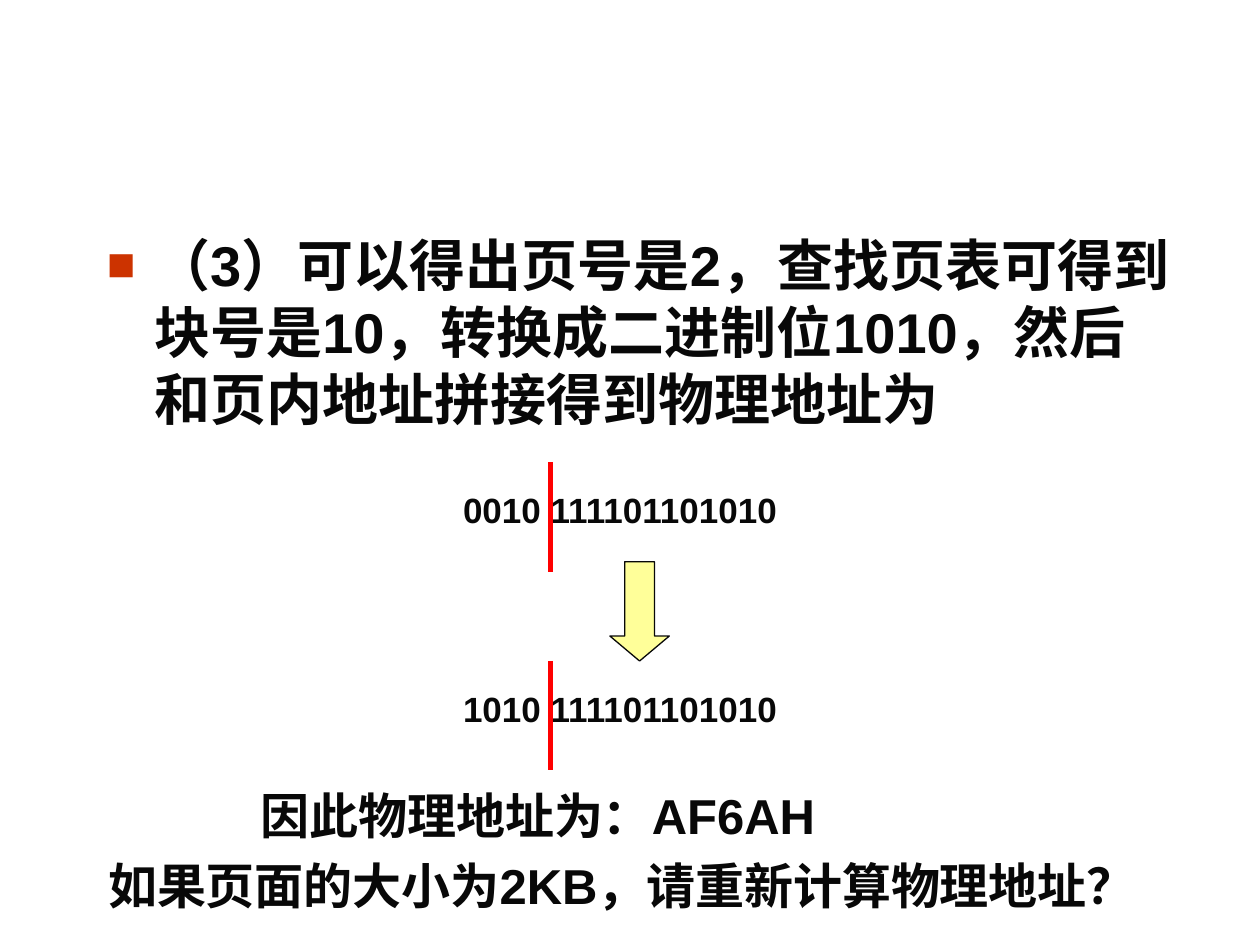
"""Build the slide that joins a block number and a page offset into a physical address."""
from lxml import etree
from pptx import Presentation
from pptx import util as u
from pptx.dml.color import RGBColor
from pptx.enum import shapes, text
from pptx.oxml import ns

COLORS = {"ink": "080808", "bullet": "CC3300", "arrow": "FFFF99", "divider": "FF0000"}
FONT = "Arial"

STEP = "（3）可以得出页号是2，查找页表可得到块号是10，转换成二进制位1010，然后和页内地址拼接得到物理地址为"
STEP_BOX = (54, 128, 623.5, 354)
HANGING = 27

ADDRESSES = ["0010 111101101010", "1010 111101101010"]
ADDRESS_LEFT, ADDRESS_TOP, ADDRESS_PITCH = 257.5, 275.75, 113.4
ADDRESS_SIZE = (198, 31.5)
DIVIDER_X, DIVIDER_RISE, DIVIDER_LENGTH = 314.6, 11.5, 62.4
ARROW_BOX = (348.5, 321, 34, 56.75)

CONCLUSIONS = [
    ("因此物理地址为：AF6AH", (141.75, 445.5, 338, 41)),
    ("如果页面的大小为2KB，请重新计算物理地址？", (54.75, 485.5, 615, 41)),
]


def color(name):
    return RGBColor.from_string(COLORS[name])


def points(values):
    return [u.Pt(value) for value in values]


def add_text(slide, wording, box, size, wrap=False):
    frame = slide.shapes.add_textbox(*points(box)).text_frame
    frame.word_wrap = wrap
    frame.vertical_anchor = text.MSO_ANCHOR.TOP
    paragraph = frame.paragraphs[0]
    paragraph.text = wording
    font = paragraph.font
    font.name, font.size, font.bold = FONT, u.Pt(size), True
    font.color.rgb = color("ink")
    return paragraph


def add_bullet(paragraph):
    properties = paragraph._p.get_or_add_pPr()
    properties.set("marL", str(u.Pt(HANGING)))
    properties.set("indent", str(-u.Pt(HANGING)))
    bullet_color = etree.Element(ns.qn("a:buClr"))
    etree.SubElement(bullet_color, ns.qn("a:srgbClr"), val=COLORS["bullet"])
    bullet_size = etree.Element(ns.qn("a:buSzPct"), val="85000")
    bullet_font = etree.Element(ns.qn("a:buFont"), typeface=FONT)
    bullet_char = etree.Element(ns.qn("a:buChar"), char="■")
    for place, part in enumerate((bullet_color, bullet_size, bullet_font, bullet_char)):
        properties.insert(place, part)


def add_divider(slide, top):
    ends = points((DIVIDER_X, top, DIVIDER_X, top + DIVIDER_LENGTH))
    divider = slide.shapes.add_connector(shapes.MSO_CONNECTOR.STRAIGHT, *ends)
    divider.line.color.rgb = color("divider")
    divider.line.width = u.Pt(3)
    etree.SubElement(divider._element.spPr, ns.qn("a:effectLst"))


def add_arrow(slide):
    arrow = slide.shapes.add_shape(shapes.MSO_SHAPE.DOWN_ARROW, *points(ARROW_BOX))
    arrow.shadow.inherit = False
    arrow.adjustments[0], arrow.adjustments[1] = 0.5, 0.42
    arrow.fill.solid()
    arrow.fill.fore_color.rgb = color("arrow")
    arrow.line.color.rgb = color("ink")
    arrow.line.width = u.Pt(0.75)


def main():
    deck = Presentation()
    deck.slide_width, deck.slide_height = points((720, 540))
    slide = deck.slides.add_slide(deck.slide_layouts[6])

    add_bullet(add_text(slide, STEP, STEP_BOX, 32, wrap=True))
    for row, address in enumerate(ADDRESSES):
        top = ADDRESS_TOP + row * ADDRESS_PITCH
        add_text(slide, address, (ADDRESS_LEFT, top, *ADDRESS_SIZE), 20)
        add_divider(slide, top - DIVIDER_RISE)
    add_arrow(slide)
    for wording, box in CONCLUSIONS:
        add_text(slide, wording, box, 28)

    deck.save("out.pptx")


if __name__ == "__main__":
    main()
